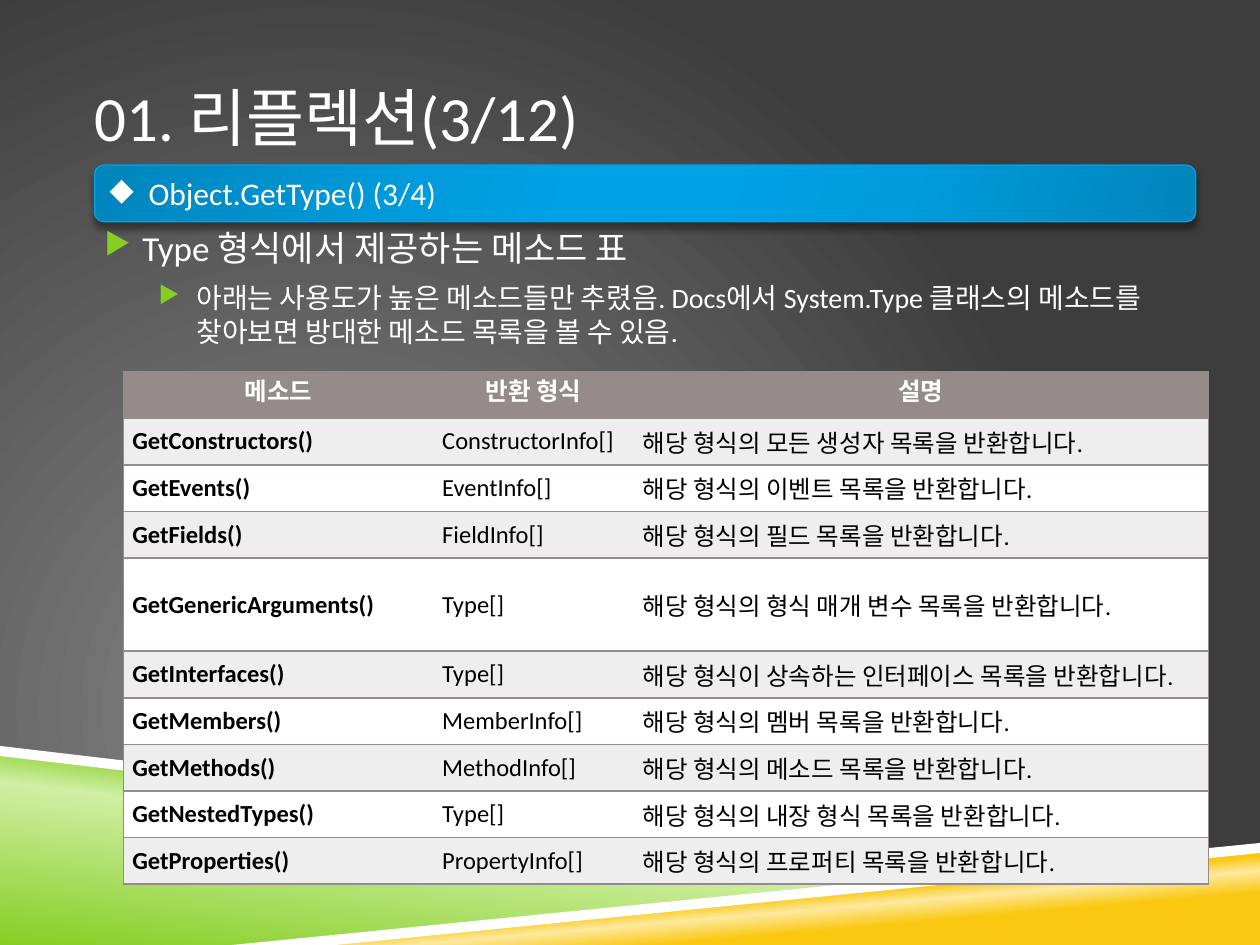
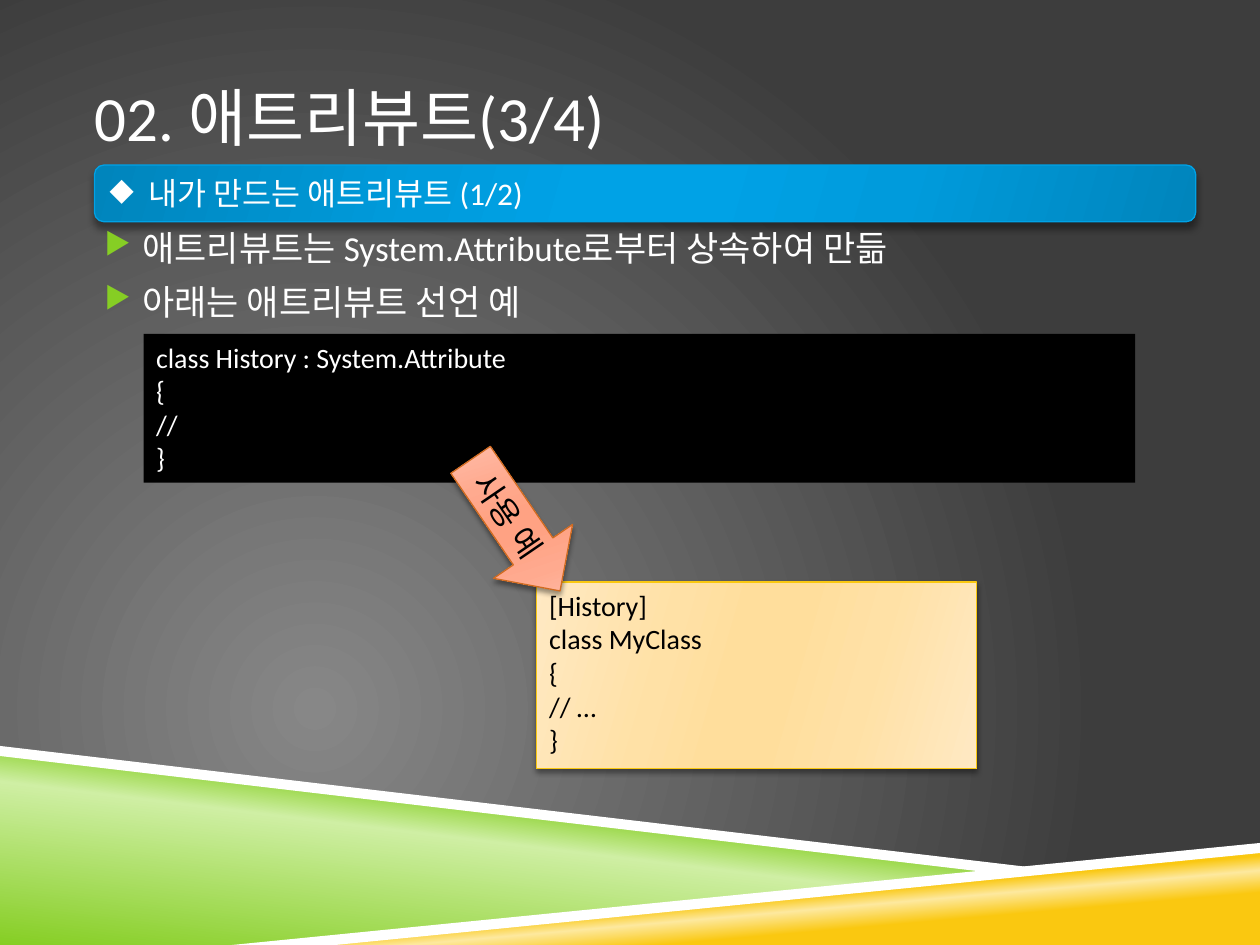
from lxml import etree
from pptx import Presentation
from pptx import util as u
from pptx.dml.color import RGBColor
from pptx.enum import shapes, text
from pptx.oxml import parse_xml
from pptx.oxml.ns import nsdecls, qn

# Colours
WHITE = RGBColor(0xFF, 0xFF, 0xFF)
BLACK = RGBColor(0, 0, 0)
GREEN = RGBColor(0x86, 0xCE, 0x24)
PALE_GREEN = RGBColor(0xCF, 0xEF, 0xA4)
YELLOW = RGBColor(0xFA, 0xC8, 0x10)
PALE_YELLOW = RGBColor(0xFD, 0xE9, 0x9F)
LIGHT_GRAY = RGBColor(0x87, 0x87, 0x87)
DARK_GRAY = RGBColor(0x3D, 0x3D, 0x3D)
BLUE = RGBColor(0x00, 0xA2, 0xE6)
ORANGE = RGBColor(0xD0, 0x6B, 0x20)
TABLE_GRAY = RGBColor(0x95, 0x8B, 0x8B)
ROW_GRAY = RGBColor(0xEF, 0xEE, 0xEE)

# Glossy fills: edge, shoulder and middle colour
BLUE_GLOSS = (RGBColor(0x00, 0x85, 0xBC), RGBColor(0x00, 0x9B, 0xDC), BLUE)
CREAM_GLOSS = (RGBColor(0xFF, 0xE9, 0xC3), RGBColor(0xFF, 0xE1, 0xA6), RGBColor(0xFF, 0xDE, 0x9C))
CORAL_GLOSS = (RGBColor(0xFE, 0xC3, 0xB2), RGBColor(0xFF, 0xAA, 0x8F), RGBColor(0xFF, 0xA2, 0x83))

LEFT, TOP = text.PP_ALIGN.LEFT, text.MSO_ANCHOR.TOP
CENTER, MIDDLE = text.PP_ALIGN.CENTER, text.MSO_ANCHOR.MIDDLE
SHAPE = shapes.MSO_SHAPE


def gradient(stops, angle=None):
    """A linear gradient, or without an angle a circular one."""
    if angle is None:
        direction = ('<a:path path="circle"><a:fillToRect l="50000" t="100000" '
                     'r="100000" b="50000"/></a:path>')
    else:
        direction = f'<a:lin ang="{angle * 60000}" scaled="0"/>'
    marks = "".join(f'<a:gs pos="{position * 1000}"><a:srgbClr val="{color}"/></a:gs>'
                    for position, color in stops)
    return parse_xml(f'<a:gradFill {nsdecls("a")} rotWithShape="1">'
                     f'<a:gsLst>{marks}</a:gsLst>{direction}</a:gradFill>')


def gloss(colors):
    edge, shoulder, middle = colors
    return gradient([(0, edge), (30, shoulder), (45, middle),
                     (55, middle), (73, shoulder), (100, edge)], 16)


class Deck:
    font = "Calibri"

    def __init__(self):
        self.presentation = Presentation()
        self.presentation.slide_width = u.Inches(10)
        self.presentation.slide_height = u.Inches(7.5)
        self.slide = None

    def new_slide(self, title, banner):
        self.slide = self.presentation.slides.add_slide(self.presentation.slide_layouts[5])
        self.background()
        self.title(title)
        self.bands()
        self.banner(banner)

    def background(self):
        self.slide.background.fill.solid()
        properties = self.slide.element.find(".//" + qn("p:bgPr"))
        properties.replace(properties[0], gradient([(0, LIGHT_GRAY), (100, DARK_GRAY)]))

    def title(self, words):
        title = self.slide.shapes.title
        title.left, title.top = u.Inches(0.75), u.Inches(0.3)
        title.width, title.height = u.Inches(8.5), u.Inches(1.25)
        self.frame(title, MIDDLE, side=0)
        self.fill_text(title.text_frame, [words], 36, WHITE)

    def bands(self):
        # Green and yellow wedges, each with a white edge
        self.polygon([(0, 5.97), (7.92, 6.92), (2, 7.5), (0, 7.5)],
                     gradient([(0, GREEN), (52, PALE_GREEN), (66, GREEN)], 277))
        self.polygon([(1.98, 7.5), (10, 6.72), (10, 7.5)],
                     gradient([(28, YELLOW), (40, PALE_YELLOW), (48, YELLOW)], 265))
        self.polygon([(0, 5.92), (0, 6), (7.9, 6.93), (8.32, 6.9)])
        self.polygon([(10, 6.69), (1.84, 7.5), (2.66, 7.5), (10, 6.77)])

    def polygon(self, points, fill=None):
        corners = [(u.Inches(x), u.Inches(y)) for x, y in points]
        builder = self.slide.shapes.build_freeform(*corners[0])
        builder.add_line_segments(corners[1:])
        self.paint(builder.convert_to_shape(), WHITE if fill is None else fill)

    def banner(self, words):
        shape = self.box(SHAPE.ROUNDED_RECTANGLE, (0.75, 1.31, 8.74, 0.45), gloss(BLUE_GLOSS),
                         [words], WHITE, 18, line=BLUE, shadow=(4, 3.3), anchor=MIDDLE)
        self.bullet(shape.text_frame.paragraphs[0], "◆", 0.31, 0.31)

    def box(self, kind, place, fill, lines, color, size=16, line=None, shadow=None,
            anchor=TOP, align=LEFT):
        shape = self.slide.shapes.add_shape(kind, *map(u.Inches, place))
        self.paint(shape, fill, line, shadow)
        self.frame(shape, anchor)
        self.fill_text(shape.text_frame, lines, size, color, align)
        return shape

    def body(self, items):
        """Bulleted text; each item is a level and its words."""
        box = self.slide.shapes.add_textbox(*map(u.Inches, (0.75, 1.75, 8.5, 4.44)))
        self.frame(box, TOP, side=0)
        self.fill_text(box.text_frame, [words for _, words in items], 20, WHITE)
        for paragraph, (level, _) in zip(box.text_frame.paragraphs, items):
            paragraph.level = level
            paragraph.space_before = u.Pt(7)
            paragraph.runs[0].font.size = u.Pt((20, 16)[level])
            self.bullet(paragraph, "▶", (0.38, 0.81)[level], 0.3, GREEN, 85)

    def table(self, place, widths, heights, rows):
        frame = self.slide.shapes.add_table(len(rows), len(widths), *map(u.Inches, place))
        table = frame.table
        table.first_row = table.horz_banding = False
        for column, width in zip(table.columns, widths):
            column.width = u.Inches(width)
        for row, height in zip(table.rows, heights):
            row.height = u.Inches(height)
        last = len(widths) - 1
        for i, row in enumerate(rows):
            for j, words in enumerate(row):
                cell = table.cell(i, j)
                self.borders(cell, {"L": j == 0, "R": j == last, "T": True, "B": True})
                cell.fill.solid()
                cell.fill.fore_color.rgb = TABLE_GRAY if i == 0 else (WHITE, ROW_GRAY)[i % 2]
                cell.margin_left = cell.margin_right = u.Inches(0.07)
                cell.margin_top = cell.margin_bottom = 0
                cell.vertical_anchor = MIDDLE if i else TOP
                self.fill_text(cell.text_frame, [words], 14, BLACK if i else WHITE,
                               text.PP_ALIGN.JUSTIFY if i else CENTER, bold=i == 0 or j == 0)

    @staticmethod
    def borders(cell, sides):
        properties = cell._tc.get_or_add_tcPr()
        for side, visible in sides.items():
            border = etree.SubElement(properties, qn("a:ln" + side), w=str(u.Pt(1)))
            if visible:
                fill = etree.SubElement(border, qn("a:solidFill"))
                etree.SubElement(fill, qn("a:srgbClr"), val=str(TABLE_GRAY))
            else:
                etree.SubElement(border, qn("a:noFill"))

    @staticmethod
    def paint(shape, fill, line=None, shadow=None):
        if isinstance(fill, RGBColor):
            shape.fill.solid()
            shape.fill.fore_color.rgb = fill
        else:
            shape.fill.background()
            properties = shape._element.spPr
            properties.replace(properties.find(qn("a:noFill")), fill)
        if line is None:
            shape.line.fill.background()
        else:
            shape.line.color.rgb = line
            shape.line.width = u.Pt(0.75)
        shape.shadow.inherit = False
        if shadow:
            blur, distance = shadow
            effects = shape._element.spPr.find(qn("a:effectLst"))
            outer = etree.SubElement(effects, qn("a:outerShdw"), blurRad=str(u.Pt(blur)),
                                     dist=str(u.Pt(distance)), dir="5400000", rotWithShape="0")
            color = etree.SubElement(outer, qn("a:srgbClr"), val=str(BLACK))
            etree.SubElement(color, qn("a:alpha"), val="40000")

    @staticmethod
    def frame(shape, anchor, side=0.1):
        frame = shape.text_frame
        frame.word_wrap = True
        frame.auto_size = text.MSO_AUTO_SIZE.NONE
        frame.vertical_anchor = anchor
        frame.margin_left = frame.margin_right = u.Inches(side)
        frame.margin_top = frame.margin_bottom = u.Inches(0.05)

    def fill_text(self, frame, lines, size, color, align=LEFT, bold=False):
        for i, words in enumerate(lines):
            paragraph = frame.add_paragraph() if i else frame.paragraphs[0]
            paragraph.alignment = align
            run = paragraph.add_run()
            run.text = words
            run.font.name, run.font.size = self.font, u.Pt(size)
            run.font.bold, run.font.color.rgb = bold, color

    @staticmethod
    def bullet(paragraph, mark, margin, hang, color=None, percent=100):
        properties = paragraph._p.get_or_add_pPr()
        properties.set("marL", str(u.Inches(margin)))
        properties.set("indent", str(-u.Inches(hang)))
        if color is not None:
            tint = etree.SubElement(properties, qn("a:buClr"))
            etree.SubElement(tint, qn("a:srgbClr"), val=str(color))
        etree.SubElement(properties, qn("a:buSzPct"), val=str(percent * 1000))
        etree.SubElement(properties, qn("a:buChar"), char=mark)


deck = Deck()

# Slide 1: table of reflection methods
deck.new_slide("01. 리플렉션(3/12)", "Object.GetType() (3/4)")
deck.body([
    (0, "Type 형식에서 제공하는 메소드 표"),
    (1, "아래는 사용도가 높은 메소드들만 추렸음. Docs에서 System.Type 클래스의 "
        "메소드를 찾아보면 방대한 메소드 목록을 볼 수 있음."),
])
methods = [
    ("GetConstructors()", "ConstructorInfo[]", "의 모든 생성자"),
    ("GetEvents()", "EventInfo[]", "의 이벤트"),
    ("GetFields()", "FieldInfo[]", "의 필드"),
    ("GetGenericArguments()", "Type[]", "의 형식 매개 변수"),
    ("GetInterfaces()", "Type[]", "이 상속하는 인터페이스"),
    ("GetMembers()", "MemberInfo[]", "의 멤버"),
    ("GetMethods()", "MethodInfo[]", "의 메소드"),
    ("GetNestedTypes()", "Type[]", "의 내장 형식"),
    ("GetProperties()", "PropertyInfo[]", "의 프로퍼티"),
]
rows = [("메소드", "반환 형식", "설명")]
rows += [(name, kind, f"해당 형식{what} 목록을 반환합니다.") for name, kind, what in methods]
heights = [0.74 if row[0] == "GetGenericArguments()" else 0.37 for row in rows]
deck.table((0.98, 2.95, 8.61, sum(heights)), (2.46, 1.59, 4.56), heights, rows)

# Slide 2: declaring and using an attribute
deck.new_slide("02. 애트리뷰트(3/4)", "내가 만드는 애트리뷰트 (1/2)")
deck.body([
    (0, "애트리뷰트는 System.Attribute로부터 상속하여 만듦"),
    (0, "아래는 애트리뷰트 선언 예"),
])
deck.box(SHAPE.RECTANGLE, (1.14, 2.65, 7.87, 1.18), BLACK,
         ["class History : System.Attribute", "{", "//", "}"], WHITE)
deck.box(SHAPE.RECTANGLE, (4.26, 4.62, 3.49, 1.48), gloss(CREAM_GLOSS),
         ["[History]", "class MyClass", "{", "// …", "}"], BLACK, line=YELLOW, shadow=(3, 2))
arrow = deck.box(SHAPE.RIGHT_ARROW, (3.46, 3.79, 1.26, 0.76), gloss(CORAL_GLOSS), ["사용 예"],
                 BLACK, 18, line=ORANGE, shadow=(3, 2), anchor=MIDDLE, align=CENTER)
arrow.rotation = 55.7

deck.presentation.save("out.pptx")
